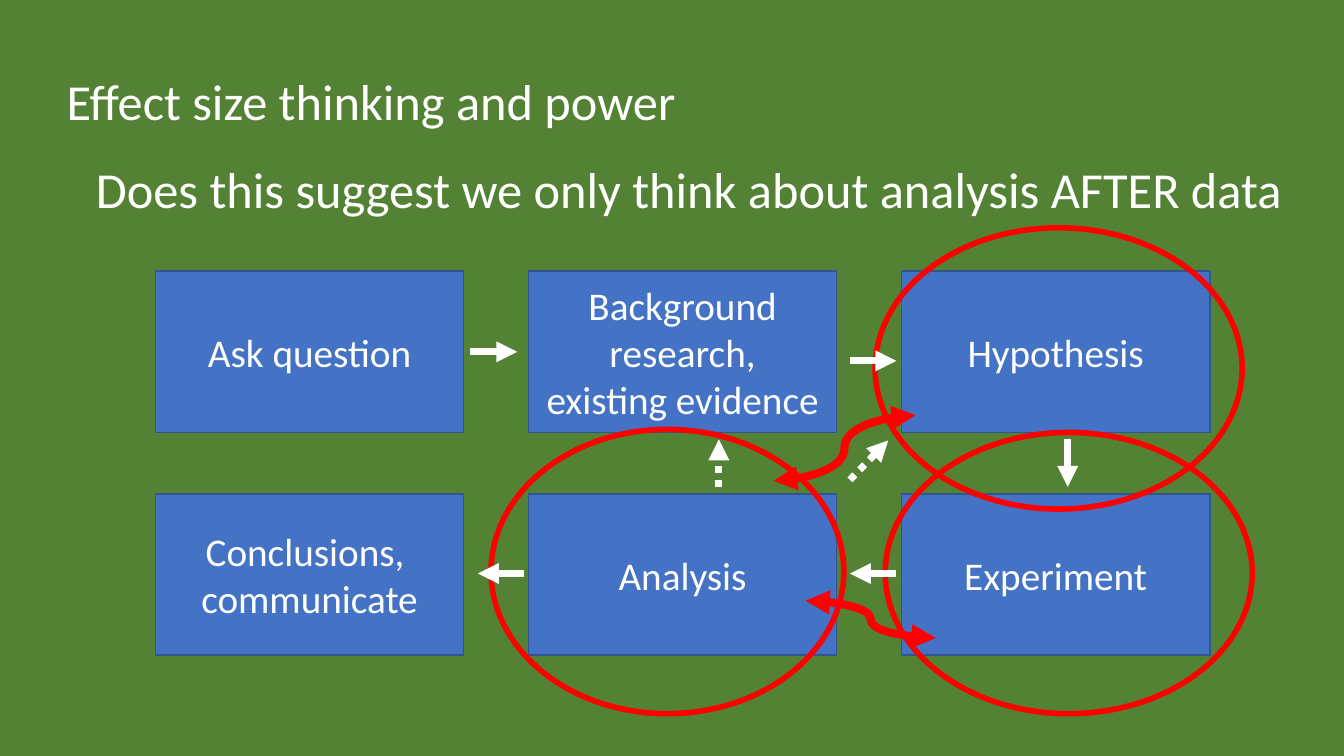
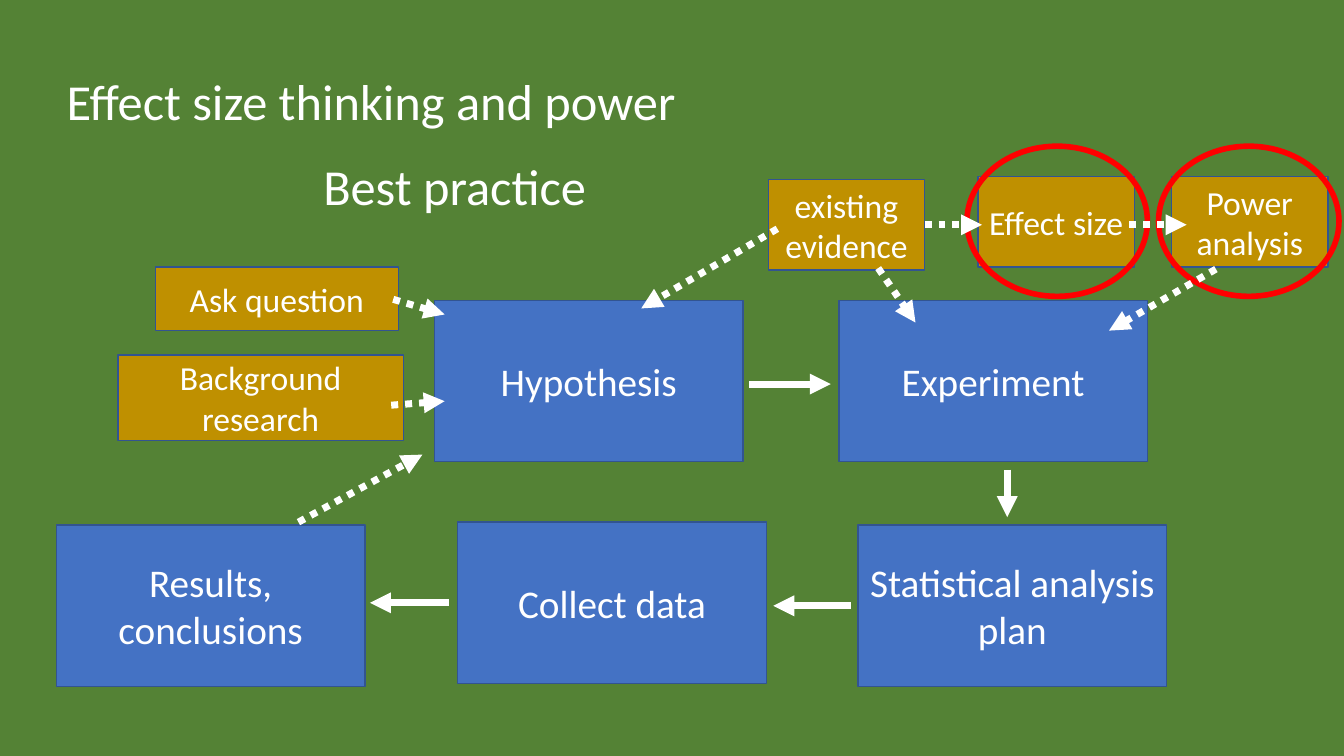
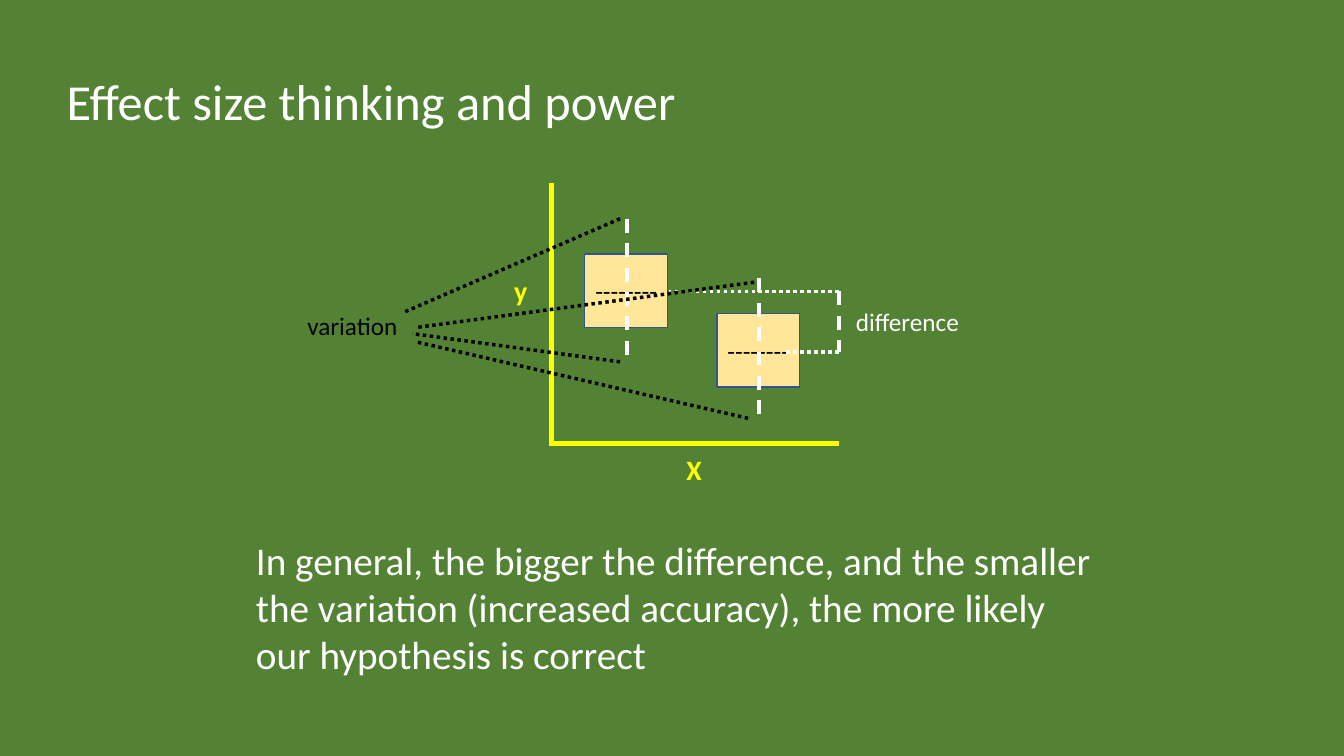
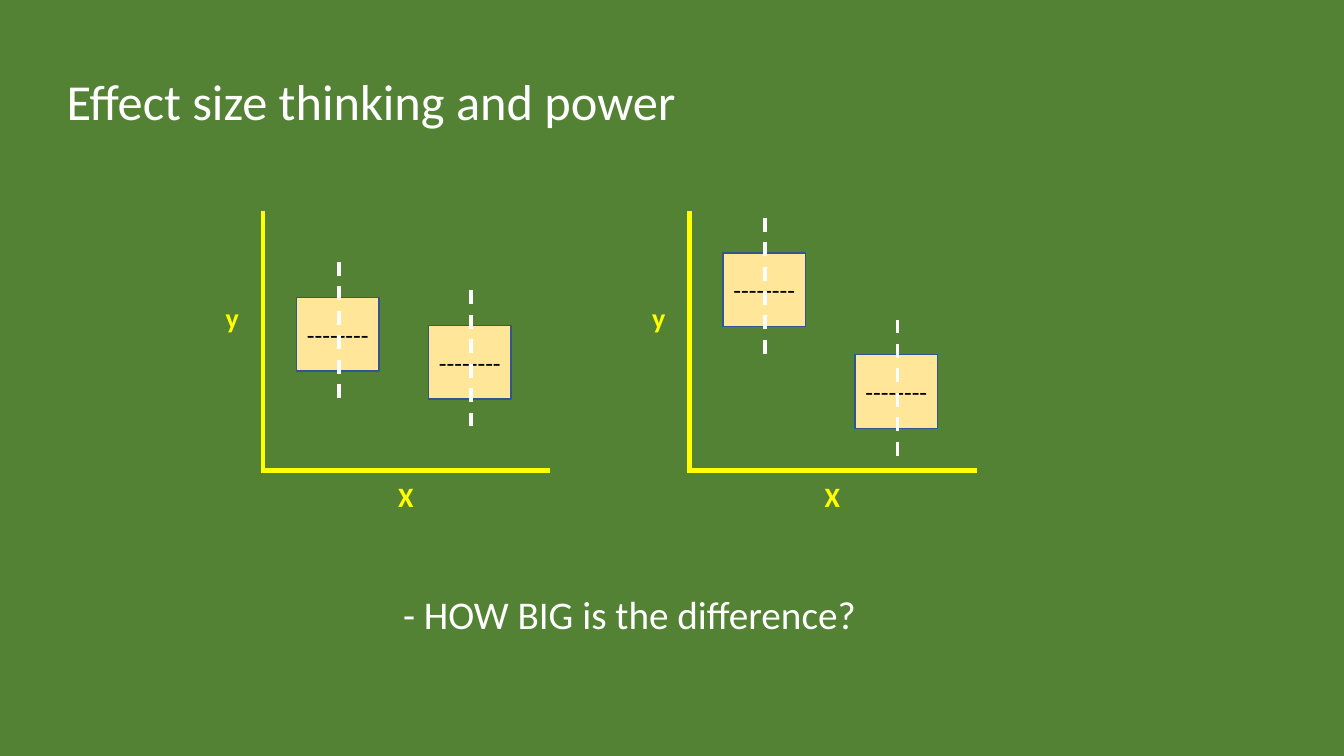
from typing import NamedTuple

from pptx import Presentation
from pptx.dml.color import RGBColor
from pptx.enum.dml import MSO_LINE
from pptx.enum.shapes import MSO_CONNECTOR, MSO_SHAPE
from pptx.enum.text import MSO_ANCHOR, MSO_AUTO_SIZE, PP_ALIGN
from pptx.oxml.ns import qn
from pptx.slide import Slide
from pptx.text.text import TextFrame
from pptx.util import Inches, Pt
from lxml import etree

GREEN = RGBColor(0x54, 0x82, 0x35)
BLUE = RGBColor(0x44, 0x72, 0xC4)
NAVY = RGBColor(0x32, 0x54, 0x91)
GOLD = RGBColor(0xBF, 0x90, 0x00)
CREAM = RGBColor(0xFF, 0xE6, 0x99)
YELLOW = RGBColor(0xFF, 0xFF, 0x00)
RED = RGBColor(0xFF, 0x00, 0x00)
WHITE = RGBColor(0xFF, 0xFF, 0xFF)
BLACK = RGBColor(0x00, 0x00, 0x00)

FONT = "Calibri"
TITLE = "Effect size thinking and power"
TITLE_ONLY = 5
LEFT, CENTER = PP_ALIGN.LEFT, PP_ALIGN.CENTER
TOP, MIDDLE = MSO_ANCHOR.TOP, MSO_ANCHOR.MIDDLE
NO_AUTOFIT = MSO_AUTO_SIZE.NONE
RECTANGLE, OVAL = MSO_SHAPE.RECTANGLE, MSO_SHAPE.OVAL
STRAIGHT, CURVE = MSO_CONNECTOR.STRAIGHT, MSO_CONNECTOR.CURVE
SOLID, DOTTED, DASHED = MSO_LINE.SOLID, MSO_LINE.ROUND_DOT, MSO_LINE.DASH

STEP_WIDTH, STEP_HEIGHT = 3.06, 1.6


class Area(NamedTuple):
    left: float
    top: float
    width: float
    height: float

    def lengths(self) -> list[int]:
        return [Inches(value) for value in self]


class Box(NamedTuple):
    text: str
    area: Area
    fill: RGBColor = BLUE
    size: int = 28
    color: RGBColor = WHITE


class Stroke(NamedTuple):
    x1: float
    y1: float
    x2: float
    y2: float
    color: RGBColor = WHITE
    width: float = 5
    dash: MSO_LINE = SOLID
    kind: MSO_CONNECTOR = STRAIGHT
    arrowheads: tuple[str, ...] = ()


class Plot(NamedTuple):
    left: float
    top: float
    group_tops: tuple[float, float]  # measured from the top of the y axis


# Shared drawing functions
def write(frame: TextFrame, text: str, size: int, color: RGBColor,
          align: PP_ALIGN = LEFT, anchor: MSO_ANCHOR = TOP,
          bold: bool = False) -> None:
    frame.text = text
    frame.word_wrap = True
    frame.auto_size = NO_AUTOFIT
    frame.vertical_anchor = anchor
    for paragraph in frame.paragraphs:
        paragraph.alignment = align
        for run in paragraph.runs:
            run.font.name = FONT
            run.font.size = Pt(size)
            run.font.bold = bold
            run.font.color.rgb = color


def add_label(slide: Slide, text: str, area: Area, size: int,
              color: RGBColor = WHITE, align: PP_ALIGN = LEFT,
              bold: bool = False) -> None:
    label = slide.shapes.add_textbox(*area.lengths())
    write(label.text_frame, text, size, color, align, bold=bold)


def add_box(slide: Slide, box: Box) -> None:
    rectangle = slide.shapes.add_shape(RECTANGLE, *box.area.lengths())
    rectangle.shadow.inherit = False
    rectangle.fill.solid()
    rectangle.fill.fore_color.rgb = box.fill
    rectangle.line.color.rgb = NAVY
    rectangle.line.width = Pt(1)
    write(rectangle.text_frame, box.text, box.size, box.color, CENTER, MIDDLE)


def add_ring(slide: Slide, area: Area) -> None:
    ring = slide.shapes.add_shape(OVAL, *area.lengths())
    ring.shadow.inherit = False
    ring.fill.background()
    ring.line.color.rgb = RED
    ring.line.width = Pt(4)


def add_stroke(slide: Slide, stroke: Stroke) -> None:
    ends = [Inches(value) for value in stroke[:4]]
    connector = slide.shapes.add_connector(stroke.kind, *ends)
    connector.line.color.rgb = stroke.color
    connector.line.width = Pt(stroke.width)
    connector.line.dash_style = stroke.dash
    properties = connector.element.spPr
    outline = properties.find(qn("a:ln"))
    for end in stroke.arrowheads:
        etree.SubElement(outline, qn(f"a:{end}"), type="triangle")
    etree.SubElement(properties, qn("a:effectLst"))


def arrow(x1: float, y1: float, x2: float, y2: float,
          dash: MSO_LINE = SOLID) -> Stroke:
    return Stroke(x1, y1, x2, y2, dash=dash, arrowheads=("tailEnd",))


def red_link(x1: float, y1: float, x2: float, y2: float) -> Stroke:
    return Stroke(x1, y1, x2, y2, RED, 5.75, kind=CURVE,
                  arrowheads=("headEnd", "tailEnd"))


def step(text: str, left: float, top: float) -> Box:
    return Box(text, Area(left, top, STEP_WIDTH, STEP_HEIGHT))


def input_box(text: str, *area: float) -> Box:
    return Box(text, Area(*area), GOLD, 24)


def add_diagram(slide: Slide, boxes: list[Box], strokes: list[Stroke],
                rings: list[Area]) -> None:
    for box in boxes:
        add_box(slide, box)
    for ring in rings:
        add_ring(slide, ring)
    for stroke in strokes:
        add_stroke(slide, stroke)


def add_plot(slide: Slide, plot: Plot) -> None:
    left, top = plot.left, plot.top
    base = top + 2.58
    add_stroke(slide, Stroke(left, top, left, top + 2.6, YELLOW, 3.25))
    add_stroke(slide, Stroke(left + 2.85, base, left, base, YELLOW, 3.25))
    add_label(slide, "X", Area(left + 1.24, top + 2.62, 0.4, 0.44), 20, YELLOW, bold=True)
    add_label(slide, "y", Area(left - 0.47, top + 0.84, 0.4, 0.44), 20, YELLOW, bold=True)
    # Two groups, each with a mean line and a whisker
    for index, group_top in enumerate(plot.group_tops):
        group_left = left + 0.33 + 1.31 * index
        box_top = top + group_top
        add_box(slide, Box("--------", Area(group_left, box_top, 0.82, 0.73),
                           CREAM, 18, BLACK))
        whisker = group_left + 0.42
        add_stroke(slide, Stroke(whisker, box_top - 0.35, whisker, box_top + 1.07,
                                 width=2.5, dash=DASHED))


def new_slide(prs: Presentation) -> Slide:
    slide = prs.slides.add_slide(prs.slide_layouts[TITLE_ONLY])
    write(slide.shapes.title.text_frame, TITLE, 36, WHITE)
    return slide


# Slides
def research_cycle(slide: Slide) -> None:
    add_label(slide, "Does this suggest we only think about analysis AFTER data",
              Area(0.34, 1.52, 12.99, 0.71), 36, align=CENTER)
    stages = [
        ["Ask question", "Background research,\nexisting evidence", "Hypothesis"],
        ["Conclusions, \ncommunicate", "Analysis", "Experiment"],
    ]
    boxes = [step(text, 1.54 + 3.7 * column, 2.69 + 2.21 * row)
             for row, texts in enumerate(stages)
             for column, text in enumerate(texts)]
    arrows = [
        arrow(4.66, 3.49, 5.13, 3.49),
        arrow(8.43, 3.58, 8.89, 3.58),
        arrow(10.59, 4.36, 10.59, 4.83),
        arrow(8.89, 5.69, 8.43, 5.69),
        arrow(5.2, 5.69, 4.74, 5.69),
        arrow(7.13, 4.83, 7.13, 4.36, DOTTED),
        arrow(8.43, 4.76, 8.81, 4.37, DOTTED),
    ]
    rings = [Area(4.87, 4.26, 3.5, 2.82), Area(8.78, 4.29, 3.64, 2.79),
             Area(8.68, 2.26, 3.64, 2.79)]
    links = [red_link(7.99, 5.96, 9.28, 6.33), red_link(7.67, 4.77, 9.08, 4.12)]
    add_diagram(slide, boxes, arrows, rings)
    for link in links:
        add_stroke(slide, link)


def best_practice(slide: Slide) -> None:
    add_label(slide, "Best practice", Area(-0.06, 1.49, 9.14, 0.71), 36, align=CENTER)
    boxes = [
        input_box("Ask question", 1.54, 2.65, 2.41, 0.63),
        input_box("Background research", 1.17, 3.52, 2.83, 0.85),
        input_box("existing evidence", 7.62, 1.78, 1.55, 0.9),
        input_box("Effect size", 9.7, 1.75, 1.55, 0.9),
        input_box("Power analysis", 11.62, 1.75, 1.55, 0.9),
        step("Hypothesis", 4.31, 2.98),
        step("Experiment", 8.32, 2.98),
        step("Statistical analysis plan", 8.51, 5.21),
        step("Collect data", 4.54, 5.18),
        step("Results, conclusions", 0.56, 5.21),
    ]
    arrows = [
        # Main sequence
        arrow(7.43, 3.81, 8.24, 3.81),
        arrow(9.99, 4.66, 9.99, 5.13),
        arrow(8.44, 6.01, 7.67, 6.01),
        arrow(4.45, 5.98, 3.67, 5.98),
        # Inputs and feedback
        arrow(3.9, 2.97, 4.41, 3.12, DOTTED),
        arrow(3.88, 4.02, 4.41, 3.98, DOTTED),
        arrow(2.96, 5.18, 4.19, 4.51, DOTTED),
        arrow(7.71, 2.27, 6.36, 3.06, DOTTED),
        arrow(8.71, 2.66, 9.08, 3.2, DOTTED),
        arrow(9.17, 2.23, 9.74, 2.23, DOTTED),
        arrow(11.2, 2.23, 11.77, 2.23, DOTTED),
        arrow(12.06, 2.67, 11, 3.28, DOTTED),
    ]
    rings = [Area(left, 1.45, 1.79, 1.49) for left in (9.59, 11.49)]
    add_diagram(slide, boxes, arrows, rings)


def difference_and_variation(slide: Slide) -> None:
    add_label(slide, "In general, the bigger the difference, and the smaller the variation "
              "(increased accuracy), the more likely our hypothesis is correct",
              Area(2.44, 5.27, 8.6, 1.51), 28)
    add_plot(slide, Plot(5.47, 1.82, (0.7, 1.29)))
    # Bracket between the two means
    upper_mean, lower_mean, bracket = 2.89, 3.49, 8.32
    add_stroke(slide, Stroke(bracket, upper_mean, bracket, lower_mean, width=2.5, dash=DASHED))
    for start, mean in ((6.64, upper_mean), (7.8, lower_mean)):
        add_stroke(slide, Stroke(bracket, mean, start, mean, width=2.5, dash=DOTTED))
    add_label(slide, "difference", Area(8.39, 2.99, 1.3, 0.4), 18)
    # Pointers from the whisker ends to their label
    for ends in ((6.15, 2.17, 4, 3.1), (6.15, 3.59, 4.09, 3.31),
                 (7.42, 4.15, 4.12, 3.39), (7.48, 2.8, 4.12, 3.25)):
        add_stroke(slide, Stroke(*ends, BLACK, 2.5, DOTTED))
    add_label(slide, "variation", Area(2.95, 3.03, 1.2, 0.4), 18, BLACK)


def size_of_difference(slide: Slide) -> None:
    add_label(slide, "- HOW BIG is the difference?", Area(3.9, 5.81, 4.9, 0.6), 28)
    for plot in (Plot(2.61, 2.09, (0.86, 1.14)), Plot(6.84, 2.09, (0.42, 1.43))):
        add_plot(slide, plot)


def main() -> None:
    prs = Presentation()
    prs.slide_width, prs.slide_height = Inches(13.33), Inches(7.5)

    # Shared background and title position
    background = prs.slide_master.background.fill
    background.solid()
    background.fore_color.rgb = GREEN
    title = prs.slide_layouts[TITLE_ONLY].placeholders[0]
    title.left, title.top, title.width, title.height = Area(0.56, 0.65, 10.71, 0.71).lengths()

    for draw in (research_cycle, best_practice, difference_and_variation, size_of_difference):
        draw(new_slide(prs))
    prs.save("out.pptx")


if __name__ == "__main__":
    main()
